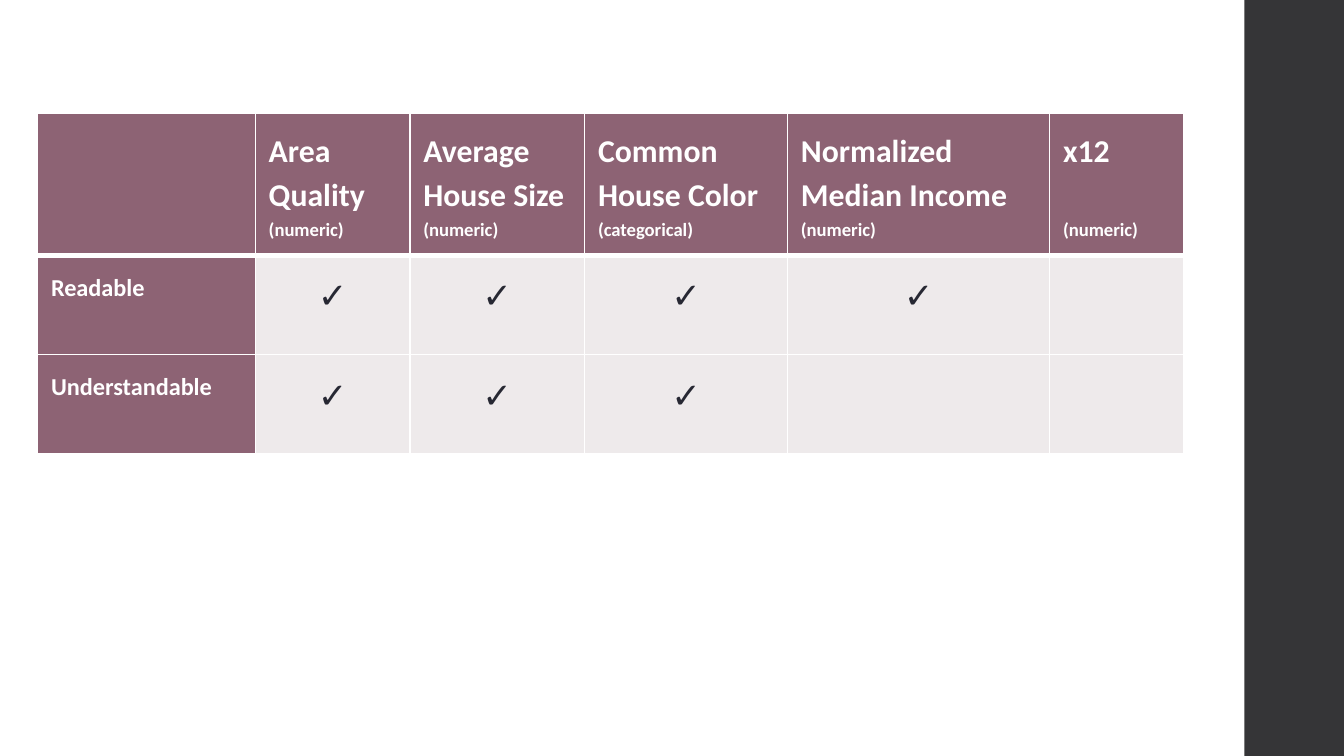
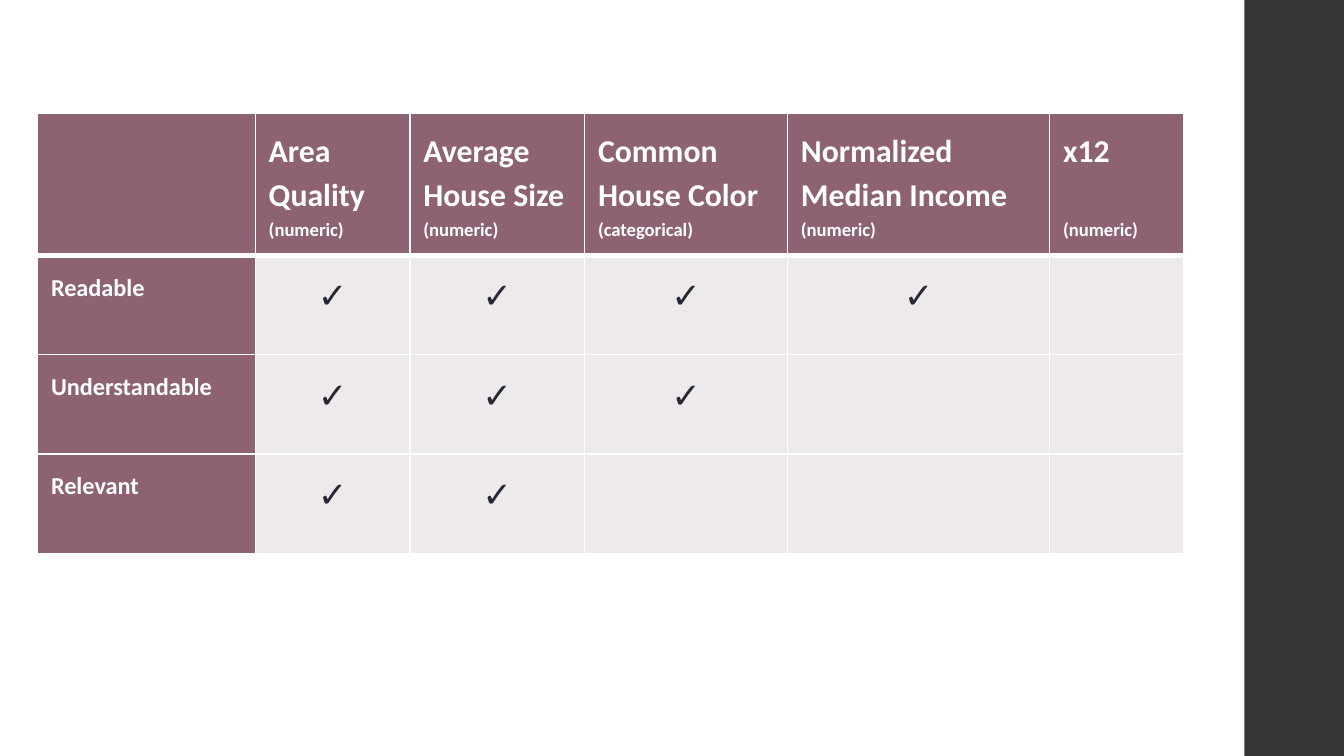
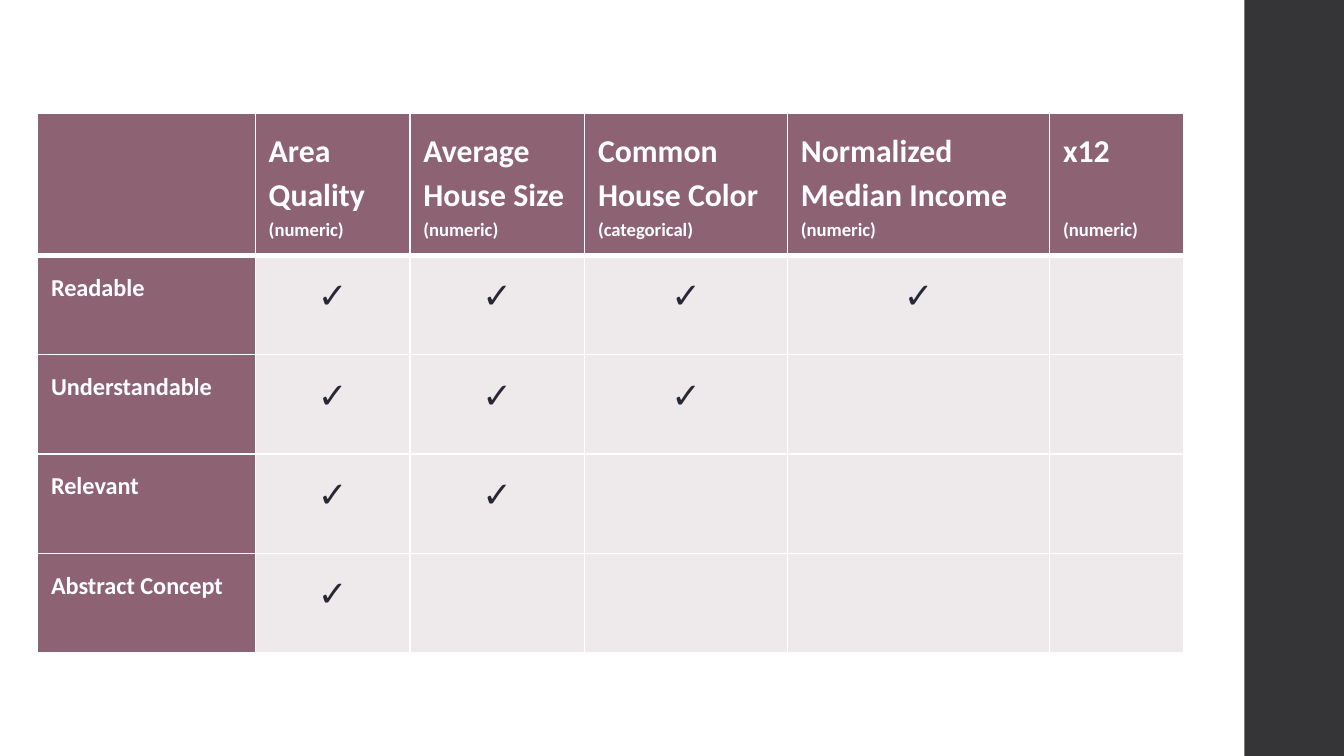
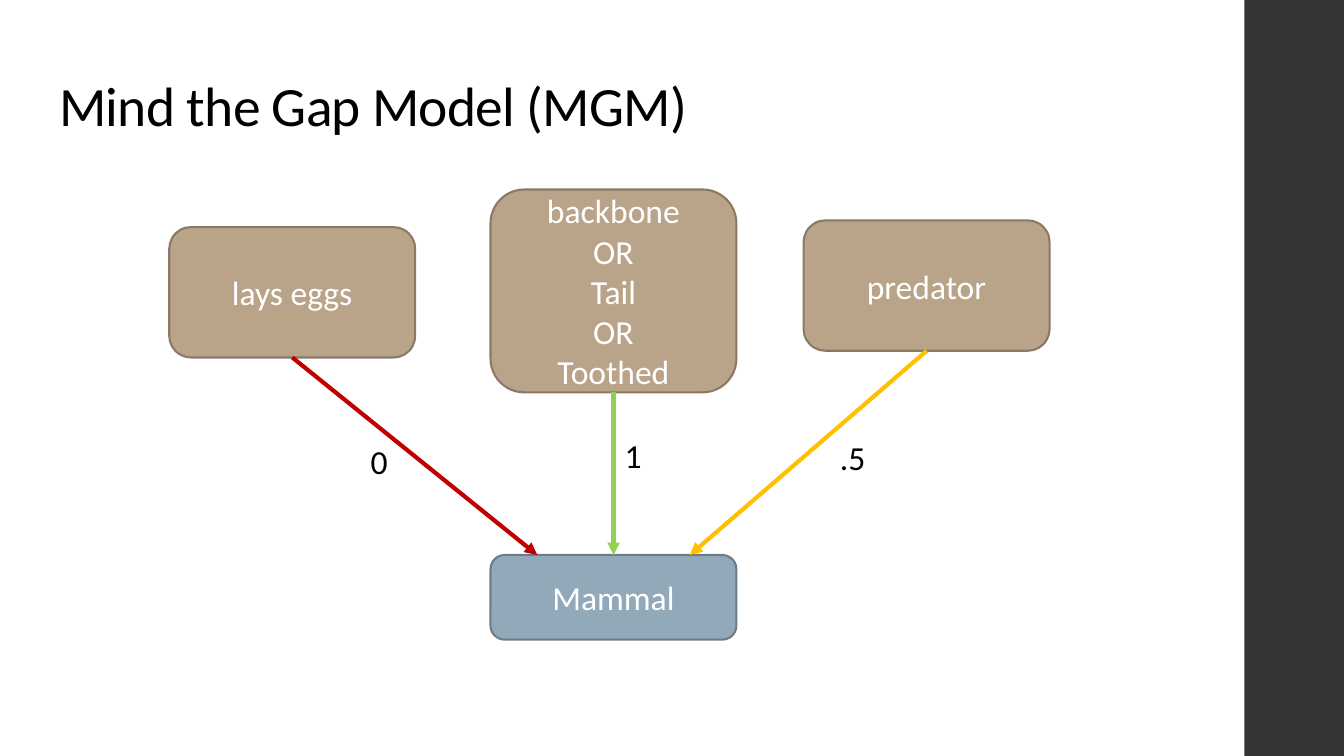
"""Build three feature-property tables and the Mind the Gap Model diagram."""
import dataclasses

import lxml.etree
import pptx
import pptx.dml.color
import pptx.enum.shapes
import pptx.enum.text
import pptx.oxml
import pptx.oxml.ns
import pptx.util

FEATURES = [
    ("Area Quality", "(numeric)"),
    ("Average House Size", "(numeric)"),
    ("Common House Color", "(categorical)"),
    ("Normalized Median Income", "(numeric)"),
    ("x12", "(numeric)"),
]
PROPERTIES = [("Readable", 4), ("Understandable", 3), ("Relevant", 2), ("Abstract Concept", 1)]
PROPERTIES_SHOWN = [2, 3, 4]
CHECK = "✓"
ONE_LINE_FEATURE = "x12"

MODEL_TITLE = "Mind the Gap Model (MGM)"
CONCEPTS = [
    {"lines": ["lays eggs"], "left": 1.26, "top": 1.69, "height": 0.97,
     "arrow": "C00000", "landing": 0.19, "weight": "0", "weight_at": (2.66, 3.23)},
    {"lines": ["backbone", "OR", "Tail", "OR", "Toothed"], "left": 3.65, "top": 1.41, "height": 1.51,
     "arrow": "92D050", "landing": 0.5, "weight": "1", "weight_at": (4.55, 3.19)},
    {"lines": ["predator"], "left": 5.98, "top": 1.64, "height": 0.97,
     "arrow": "FFC000", "landing": 0.81, "weight": ".5", "weight_at": (6.15, 3.2)},
]
CLASS_NODE = {"lines": ["Mammal"], "left": 3.65, "top": 4.13, "height": 0.63}

SLIDE_WIDTH = 10
SLIDE_HEIGHT = SLIDE_WIDTH * 9 / 16
BAND_LEFT = 9.26
TABLE_LEFT, TABLE_TOP = 0.28, 0.84
COLUMN_WIDTHS = [1.62, 1.15, 1.3, 1.51, 1.95, 1]
ROW_HEIGHT, HEADER_GROWTH = 0.74, 0.29
INSET = 0.1
TITLE_BOX = (0.34, 0.49, 9.32, 0.63)
NODE_WIDTH = 1.83
WEIGHT_SIZE = (0.48, 0.4)
BOTTOM_SITE = 2


@dataclasses.dataclass(frozen=True)
class Theme:
    """Colours and type sizes of the deck."""
    font: str = "Calibri"
    white: str = "FFFFFF"
    black: str = "000000"
    band: str = "353537"
    header: str = "8D6374"
    body: str = "EEEAEB"
    check: str = "272833"
    concept: tuple = ("B9A489", "897965")
    target: tuple = ("92A9B9", "6C7D89")
    title_size: float = 29.7
    feature_size: float = 17
    kind_size: float = 10
    property_size: float = 13
    check_size: float = 19
    diagram_size: float = 18
    table_spacing: float = 1.15
    blank_line: float = 24


THEME = Theme()
CENTER = pptx.enum.text.PP_ALIGN.CENTER
MIDDLE = pptx.enum.text.MSO_ANCHOR.MIDDLE
ROUNDED = pptx.enum.shapes.MSO_SHAPE.ROUNDED_RECTANGLE


def inches(*lengths):
    """Convert lengths in inches to a list of EMU values."""
    return [pptx.util.Inches(length) for length in lengths]


def color(value):
    """Return the colour object for a hex value."""
    return pptx.dml.color.RGBColor.from_string(value)


def fill_solid(item, value):
    """Give a shape or cell a solid fill."""
    item.fill.solid()
    item.fill.fore_color.rgb = color(value)


def add_run(paragraph, text, size, value, bold=False):
    """Append one formatted run to a paragraph."""
    run = paragraph.add_run()
    run.text = text
    run.font.name = THEME.font
    run.font.size = pptx.util.Pt(size)
    run.font.bold = bold
    run.font.color.rgb = color(value)
    return run


def set_insets(frame, inset):
    """Give a text frame or cell the same margin on every side."""
    for side in ("left", "top", "right", "bottom"):
        setattr(frame, f"margin_{side}", pptx.util.Inches(inset))


def add_band(presentation):
    """Put the dark right-hand band on the slide master."""
    slide = presentation.slides[0]
    band = slide.shapes.add_shape(
        pptx.enum.shapes.MSO_SHAPE.RECTANGLE,
        *inches(BAND_LEFT, 0, SLIDE_WIDTH - BAND_LEFT, SLIDE_HEIGHT))
    band.shadow.inherit = False
    fill_solid(band, THEME.band)
    band.line.fill.background()
    presentation.slide_master.shapes.element.insert(2, band.element)


def add_borders(cell, is_header):
    """Draw white cell borders, with a heavy rule below the header."""
    widths = {"lnL": 1, "lnR": 1, "lnT": 1, "lnB": 3} if is_header else {"lnL": 1, "lnR": 1, "lnB": 1}
    properties = cell._tc.get_or_add_tcPr()
    for tag, width in widths.items():
        properties.append(pptx.oxml.parse_xml(
            f'<a:{tag} {pptx.oxml.ns.nsdecls("a")} w="{pptx.util.Pt(width)}"><a:solidFill>'
            f'<a:srgbClr val="{THEME.white}"/></a:solidFill></a:{tag}>'))


def write_feature(cell, feature, kind):
    """Write a feature name with its data kind below."""
    name = cell.text_frame.paragraphs[0]
    add_run(name, feature, THEME.feature_size, THEME.white, True)
    note = cell.text_frame.add_paragraph()
    add_run(note, kind, THEME.kind_size, THEME.white, True)
    if feature == ONE_LINE_FEATURE:
        note.space_before = pptx.util.Pt(THEME.blank_line)


def write_cell(cell, row, column):
    """Write the content that belongs at a table position."""
    paragraph = cell.text_frame.paragraphs[0]
    if row == 0:
        if column:
            write_feature(cell, *FEATURES[column - 1])
        return
    label, check_count = PROPERTIES[row - 1]
    if column == 0:
        add_run(paragraph, label, THEME.property_size, THEME.white, True)
    elif column <= check_count:
        paragraph.alignment = CENTER
        add_run(paragraph, CHECK, THEME.check_size, THEME.check, True)


def add_property_table(slide, property_count):
    """Add the table with the first given number of properties."""
    row_count = property_count + 1
    frame = slide.shapes.add_table(
        row_count, len(COLUMN_WIDTHS),
        *inches(TABLE_LEFT, TABLE_TOP, sum(COLUMN_WIDTHS), row_count * ROW_HEIGHT))
    table = frame.table
    table.first_col = True
    table.horz_banding = False
    for column, width in zip(table.columns, COLUMN_WIDTHS):
        column.width = pptx.util.Inches(width)
    for row in table.rows:
        row.height = pptx.util.Inches(ROW_HEIGHT)
    frame.height = pptx.util.Inches(row_count * ROW_HEIGHT + HEADER_GROWTH)
    for row in range(row_count):
        for column in range(len(COLUMN_WIDTHS)):
            cell = table.cell(row, column)
            set_insets(cell, INSET)
            add_borders(cell, row == 0)
            fill_solid(cell, THEME.header if row == 0 or column == 0 else THEME.body)
            write_cell(cell, row, column)
            for paragraph in cell.text_frame.paragraphs:
                paragraph.line_spacing = THEME.table_spacing


def add_title(slide, text):
    """Place and format the title placeholder."""
    title = slide.shapes.title
    title.left, title.top, title.width, title.height = inches(*TITLE_BOX)
    frame = title.text_frame
    frame.auto_size = pptx.enum.text.MSO_AUTO_SIZE.NONE
    frame.vertical_anchor = MIDDLE
    set_insets(frame, INSET)
    paragraph = frame.paragraphs[0]
    paragraph.alignment = pptx.enum.text.PP_ALIGN.LEFT
    paragraph.line_spacing = 0.9
    run = add_run(paragraph, text, THEME.title_size, THEME.black)
    run.font._element.set("spc", "-40")


def add_node(slide, node, colors):
    """Add a rounded box with one centred paragraph per line."""
    shape = slide.shapes.add_shape(
        ROUNDED, *inches(node["left"], node["top"], NODE_WIDTH, node["height"]))
    shape.shadow.inherit = False
    fill_solid(shape, colors[0])
    shape.line.color.rgb = color(colors[1])
    shape.line.width = pptx.util.Pt(1.1)
    frame = shape.text_frame
    frame.word_wrap = True
    frame.vertical_anchor = MIDDLE
    for index, line in enumerate(node["lines"]):
        paragraph = frame.add_paragraph() if index else frame.paragraphs[0]
        paragraph.alignment = CENTER
        add_run(paragraph, line, THEME.diagram_size, THEME.white)
    return shape


def add_arrow(slide, source, target, landing, value):
    """Draw an arrow from a box's bottom to a share of the target's top edge."""
    arrow = slide.shapes.add_connector(
        pptx.enum.shapes.MSO_CONNECTOR.STRAIGHT,
        source.left + source.width // 2, source.top + source.height,
        target.left + round(target.width * landing), target.top)
    arrow.begin_connect(source, BOTTOM_SITE)
    arrow.line.color.rgb = color(value)
    arrow.line.width = pptx.util.Pt(2.25)
    line = arrow.line._get_or_add_ln()
    lxml.etree.SubElement(line, pptx.oxml.ns.qn("a:tailEnd"), type="triangle")
    lxml.etree.SubElement(arrow.element.spPr, pptx.oxml.ns.qn("a:effectLst"))


def add_weight(slide, text, position):
    """Label an arrow with its weight."""
    box = slide.shapes.add_textbox(*inches(*position, *WEIGHT_SIZE))
    box.text_frame.word_wrap = True
    box.text_frame.auto_size = pptx.enum.text.MSO_AUTO_SIZE.SHAPE_TO_FIT_TEXT
    add_run(box.text_frame.paragraphs[0], text, THEME.diagram_size, THEME.black)


def add_model(slide):
    """Build the diagram of weighted concepts pointing at the class."""
    add_title(slide, MODEL_TITLE)
    target = add_node(slide, CLASS_NODE, THEME.target)
    for concept in CONCEPTS:
        source = add_node(slide, concept, THEME.concept)
        add_arrow(slide, source, target, concept["landing"], concept["arrow"])
        add_weight(slide, concept["weight"], concept["weight_at"])


def main():
    """Create and save the presentation."""
    presentation = pptx.Presentation()
    presentation.slide_width, presentation.slide_height = inches(SLIDE_WIDTH, SLIDE_HEIGHT)
    title_only, blank = presentation.slide_layouts[5], presentation.slide_layouts[6]
    for property_count in PROPERTIES_SHOWN:
        add_property_table(presentation.slides.add_slide(blank), property_count)
    add_model(presentation.slides.add_slide(title_only))
    add_band(presentation)
    presentation.save("out.pptx")


if __name__ == "__main__":
    main()
